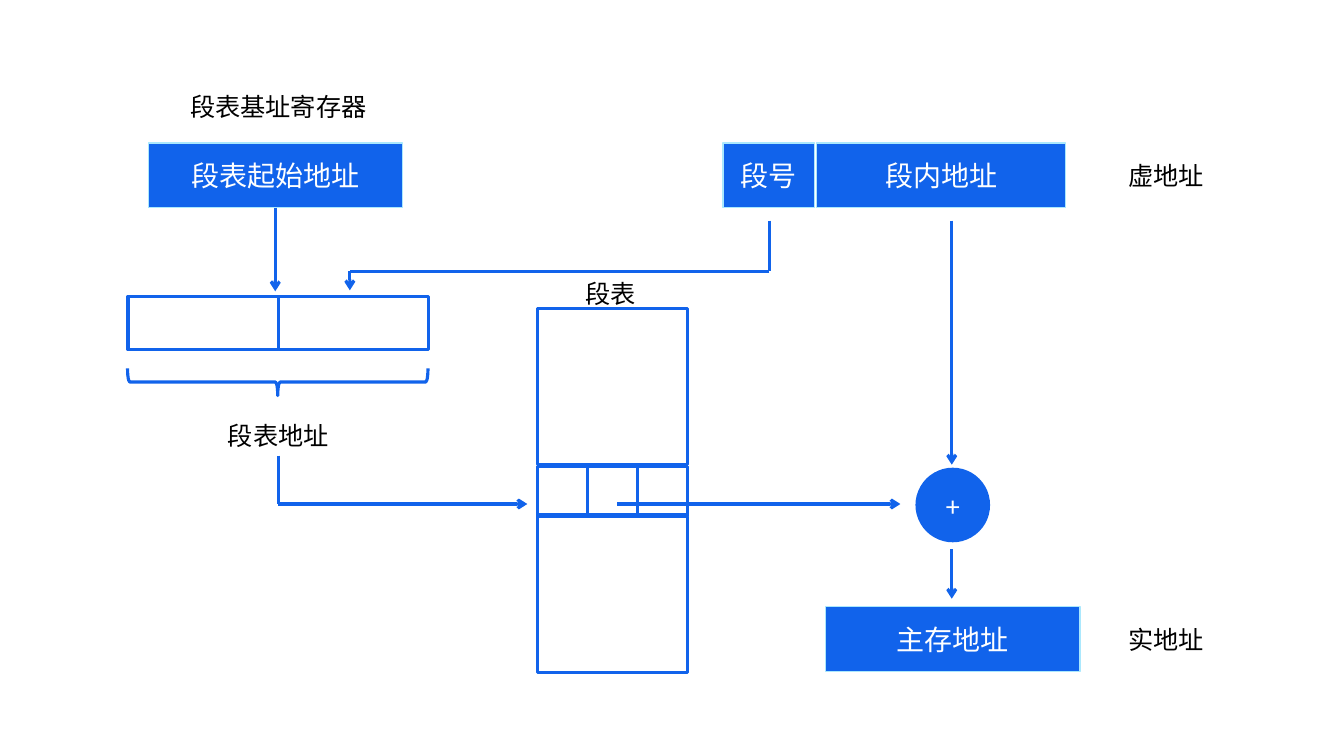
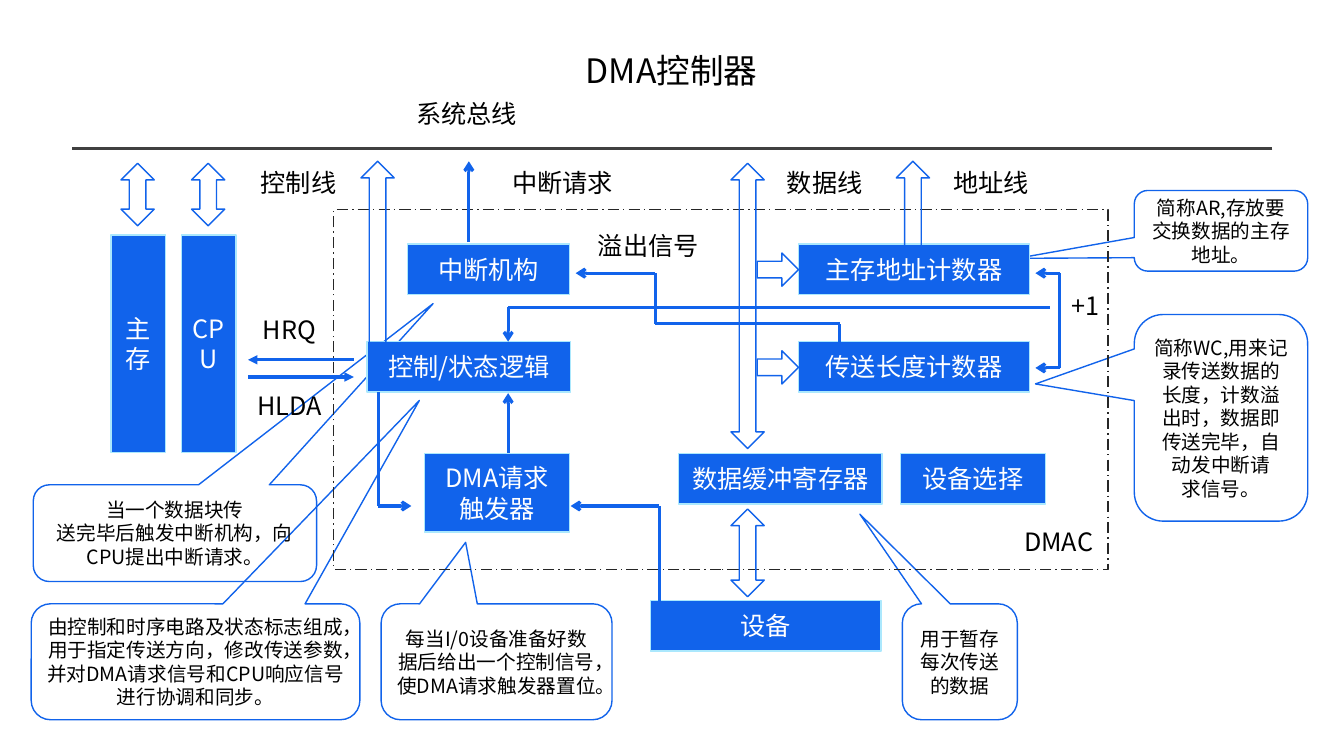
from lxml import etree
from pptx import Presentation, util as u
from pptx.dml.color import RGBColor
from pptx.enum import dml, shapes, text
from pptx.oxml.ns import qn

SIZE = 13.33, 7.5
FONT = "Noto Sans CJK SC"
BLUE, PALE, WHITE, BLACK = "1163EB", "ABE8FD", "FFFFFF", "000000"
GRAY, DARK = "404040", "262626"
THICK, THIN = 2.25, 1
KIND = shapes.MSO_SHAPE

# Slide 1: text, left, top, width, height
SEG_BOXES = [
    ("段表起始地址", 1.47, 1.42, 2.52, 0.64),
    ("段号", 7.17, 1.42, 0.91, 0.64),
    ("段内地址", 8.1, 1.42, 2.47, 0.64),
    ("主存地址", 8.19, 6.02, 2.52, 0.64),
]
# Labels: text, left, top, width
SEG_LABELS = [
    ("段表基址寄存器", 1.39, 0.86, 2.74),
    ("段表地址", 1.39, 4.12, 2.74),
    ("虚地址", 10.71, 1.54, 1.71),
    ("实地址", 10.71, 6.14, 1.71),
    ("段表", 5.56, 2.71, 1.0),
]
# Each path ends in an arrowhead
SEG_PATHS = [
    [(2.73, 2.06), (2.73, 2.89)],
    [(2.76, 4.52), (2.76, 5), (5.23, 5)],
    [(6.12, 5), (8.93, 5)],
    [(9.44, 2.19), (9.44, 4.61)],
    [(7.63, 2.19), (7.63, 2.69), (3.47, 2.69), (3.47, 2.88)],
    [(9.44, 5.45), (9.44, 5.94)],
]
CELL = 1.49

# Slide 2
DMA_BOXES = [
    ("中断机构", 4.04, 2.42, 1.61, 0.5),
    ("控制/状态逻辑", 3.64, 3.39, 2.02, 0.5),
    ("DMA请求触发器", 4.21, 4.5, 1.44, 0.78),
    ("数据缓冲寄存器", 6.73, 4.5, 2.02, 0.5),
    ("设备选择", 8.93, 4.5, 1.44, 0.5),
    ("设备", 6.45, 5.96, 2.29, 0.5),
    ("主存地址计数器", 7.92, 2.42, 2.29, 0.5),
    ("传送长度计数器", 7.92, 3.39, 2.29, 0.5),
    ("主存", 1.1, 2.33, 0.54, 2.16),
    ("CPU", 1.8, 2.33, 0.54, 2.16),
]
DMA_LABELS = [
    ("系统总线", 3.91, 0.93, 1.44),
    ("控制线", 2.39, 1.61, 1.14),
    ("中断请求", 4.86, 1.61, 1.44),
    ("数据线", 7.62, 1.61, 1.12),
    ("地址线", 9.27, 1.61, 1.12),
    ("溢出信号", 5.71, 2.24, 1.44),
    ("+1", 10.47, 2.83, 0.59),
    ("HRQ", 2.35, 3.07, 1.04),
    ("HLDA", 2.35, 3.82, 1.04),
    ("DMAC", 9.93, 5.17, 1.14),
]
# Callouts: paragraphs, left, top, width, height, tip offset
NOTES = [
    (["由控制和时序电路及状态标志组成，用于指定传送方向，修改传送参数，"
      "并对DMA请求信号和CPU响应信号进行协调和同步。"],
     0.31, 5.99, 3.26, 1.15, (0.681, -2.254)),
    (["当一个数据块传", "送完毕后触发中断机构，向CPU提出中断请求。"],
     0.33, 4.81, 2.81, 0.96, (0.911, -2.372)),
    (["每当I/0设备准备好数据后给出一个控制信号，使DMA请求触发器置位。"],
     3.78, 5.99, 2.29, 1.15, (-0.134, -1.03)),
    (["用于暂存每次传送的数据"], 8.95, 5.99, 1.14, 1.15, (-0.87, -1.274)),
    (["简称AR,存放要交换数据的主存地址。"],
     11.25, 1.89, 1.72, 0.8, (-1.175, 0.342)),
    (["简称WC,用来记录传送数据的长度，计数溢出时，数据即传送完毕，自动发中断请",
      "求信号。"], 11.25, 3.12, 1.72, 2.05, (-1.07, -0.164)),
]
# Block arrows: kind, left, top, height, turn
BUS_W = 0.33
BUSES = [
    (KIND.UP_DOWN_ARROW, 1.2, 1.62, 0.62, 0),
    (KIND.UP_DOWN_ARROW, 1.9, 1.62, 0.62, 0),
    (KIND.UP_DOWN_ARROW, 7.25, 1.62, 2.83, 0),
    (KIND.UP_DOWN_ARROW, 7.25, 5.05, 0.87, 0),
    (KIND.UP_ARROW, 3.58, 1.6, 1.8, 0),
    (KIND.UP_ARROW, 8.89, 1.6, 0.87, 0),
    (KIND.UP_ARROW, 7.55, 2.47, 0.41, 90),
    (KIND.UP_ARROW, 7.55, 3.44, 0.41, 90),
]
DMA_PATHS = [
    [(4.65, 2.4), (4.65, 1.6)],
    [(8.33, 3.39), (8.33, 3.21), (6.5, 3.21), (6.5, 2.71), (5.71, 2.71)],
    [(10.51, 3.18), (10.51, 2.71), (10.27, 2.71)],
    [(10.51, 3.18), (10.51, 3.65), (10.27, 3.65)],
    [(10.41, 3.05), (5.04, 3.05), (5.04, 3.39)],
    [(5.04, 4.49), (5.04, 3.9)],
    [(3.75, 3.89), (3.75, 5.02), (4.08, 5.02)],
    [(6.54, 5.96), (6.54, 5.02), (5.66, 5.02)],
]
HANDSHAKE = [
    [(3.51, 3.57), (2.46, 3.57)],
    [(2.46, 3.74), (3.51, 3.74)],
]


def rgb(code):
    return RGBColor.from_string(code)


def inches(*nums):
    return [u.Inches(n) for n in nums]


def write(frame, lines, size, color, font=FONT):
    frame.word_wrap = True
    for i, line in enumerate(lines):
        para = frame.add_paragraph() if i else frame.paragraphs[0]
        para.text = line
        para.alignment = text.PP_ALIGN.CENTER
        para.font.size = u.Pt(size)
        para.font.color.rgb = rgb(color)
        para.font.name = font
        props = para._p.pPr.find(qn("a:defRPr"))
        etree.SubElement(props, qn("a:ea"), typeface=FONT)


def shape(slide, kind, place, fill=None, line=BLUE, width=THICK):
    item = slide.shapes.add_shape(kind, *inches(*place))
    item.shadow.inherit = False
    if fill:
        item.fill.solid()
        item.fill.fore_color.rgb = rgb(fill)
    else:
        item.fill.background()
    if line:
        item.line.color.rgb = rgb(line)
        item.line.width = u.Pt(width)
    else:
        item.line.fill.background()
    return item


def boxes(slide, rows, size):
    for name, *place in rows:
        item = shape(slide, KIND.RECTANGLE, place, BLUE, PALE, THIN)
        write(item.text_frame, [name], size, WHITE)


def label(slide, name, left, top, width, size=18):
    box = slide.shapes.add_textbox(*inches(left, top, width, 0.4))
    write(box.text_frame, [name], size, BLACK)


def line(slide, start, end, color=BLUE, head=None):
    item = slide.shapes.add_connector(
        shapes.MSO_CONNECTOR.STRAIGHT, *inches(*start, *end))
    item.line.color.rgb = rgb(color)
    item.line.width = u.Pt(THICK)
    if head:
        etree.SubElement(item.line._get_or_add_ln(), qn("a:tailEnd"), type=head)
    etree.SubElement(item._element.spPr, qn("a:effectLst"))


def paths(slide, rows, head="arrow"):
    for points in rows:
        for i, (start, end) in enumerate(zip(points, points[1:]), 2):
            line(slide, start, end, head=head if i == len(points) else None)


def segment(slide):
    boxes(slide, SEG_BOXES, 20)
    for row in SEG_LABELS:
        label(slide, *row)
    # Two address fields under one brace
    for col in range(2):
        shape(slide, KIND.RECTANGLE, (1.27 + col * CELL, 2.94, CELL, 0.53))
    brace = shape(slide, KIND.LEFT_BRACE, (2.62, 2.3, 0.27, 2 * CELL))
    brace.rotation = 270
    # Segment table: tall, split and tall rows
    left = 5.33
    for top in (3.06, 5.12):
        shape(slide, KIND.RECTANGLE, (left, top, CELL, 1.55))
    for col in range(3):
        shape(slide, KIND.RECTANGLE,
              (left + col * CELL / 3, 4.63, CELL / 3, 0.48))
    adder = shape(slide, KIND.OVAL, (9.08, 4.64, 0.74, 0.74), BLUE, None)
    write(adder.text_frame, ["+"], 20, WHITE, "Calibri")
    paths(slide, SEG_PATHS)


def dma(slide):
    for lines, *place, tip in NOTES:
        note = shape(slide, KIND.ROUNDED_RECTANGULAR_CALLOUT, place, width=THIN)
        for i, share in enumerate(tip):
            note.adjustments[i] = share
        write(note.text_frame, lines, 14, BLACK)
    label(slide, "DMA控制器", 4.37, 0.45, 4.58, 24)
    line(slide, (12.62, 1.47), (0.71, 1.47), GRAY)
    frame = shape(slide, KIND.RECTANGLE, (3.31, 2.08, 7.68, 3.57),
                  line=DARK, width=THIN)
    frame.line.dash_style = dml.MSO_LINE.LONG_DASH_DOT
    boxes(slide, DMA_BOXES, 18)
    for kind, left, top, height, turn in BUSES:
        bus = shape(slide, kind, (left, top, BUS_W, height), width=THIN)
        bus.rotation = turn
    for row in DMA_LABELS:
        label(slide, *row)
    paths(slide, DMA_PATHS)
    paths(slide, HANDSHAKE, "triangle")


def main():
    deck = Presentation()
    deck.slide_width, deck.slide_height = inches(*SIZE)
    for draw in (segment, dma):
        draw(deck.slides.add_slide(deck.slide_layouts[6]))
    deck.save("out.pptx")


if __name__ == "__main__":
    main()
